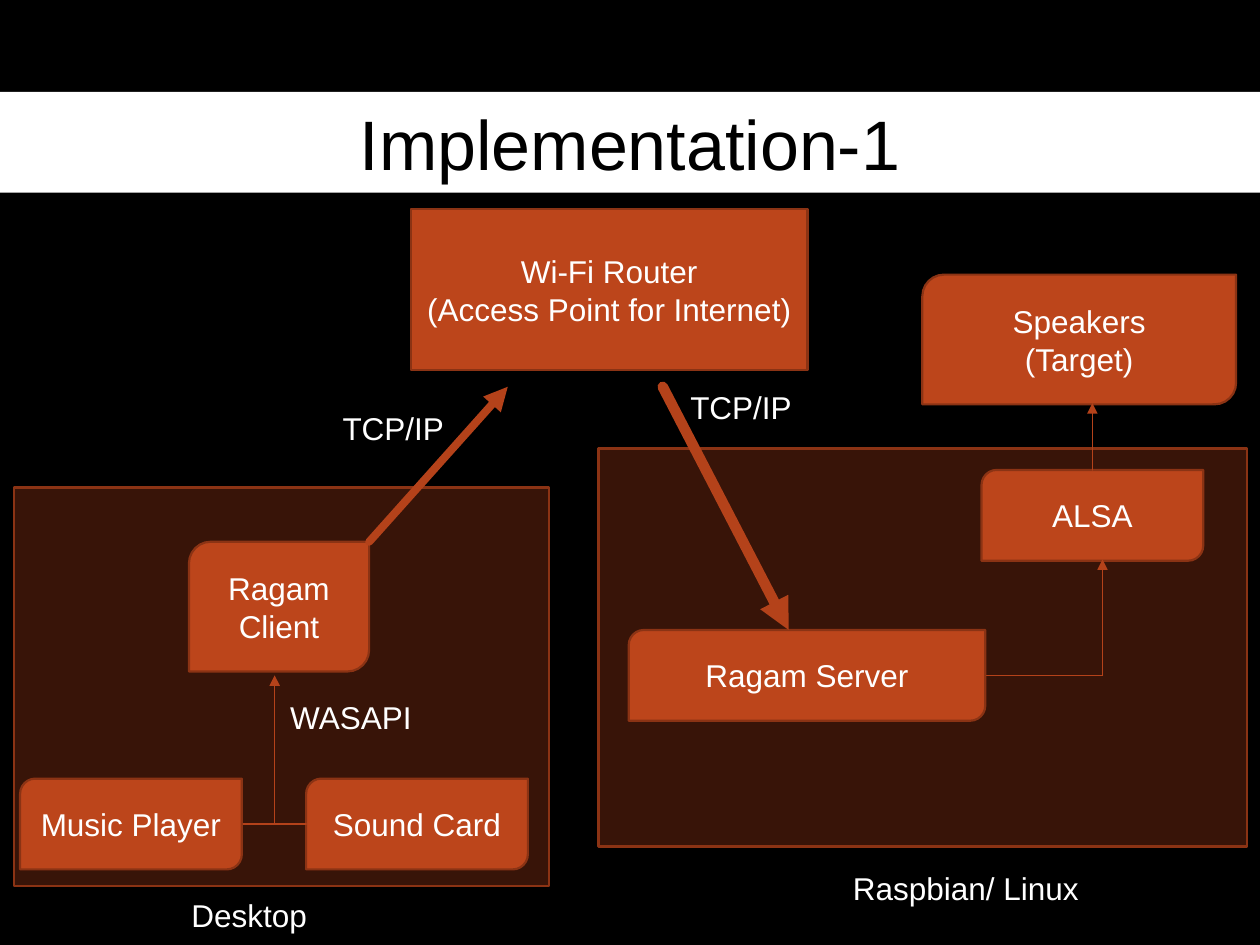
import pptx
import pptx.util
import pptx.dml.color
import pptx.enum.shapes
import pptx.enum.text
import pptx.oxml
import pptx.oxml.ns

RGBColor = pptx.dml.color.RGBColor
BLACK = RGBColor(0x00, 0x00, 0x00)
WHITE = RGBColor(0xFF, 0xFF, 0xFF)
RUST = RGBColor(0xBC, 0x45, 0x1B)
BORDER = RGBColor(0x8B, 0x33, 0x14)
ARROW = RGBColor(0xB4, 0x42, 0x1A)

RECTANGLE = pptx.enum.shapes.MSO_SHAPE.RECTANGLE
DIAGONAL = pptx.enum.shapes.MSO_SHAPE.ROUND_2_DIAG_RECTANGLE
CENTER = pptx.enum.text.PP_ALIGN.CENTER
LEFT = pptx.enum.text.PP_ALIGN.LEFT
COLUMNS, ROWS = 100, 75


def add_element(parent, tag, **attributes):
    child = pptx.oxml.parse_xml(f"<{tag} {pptx.oxml.ns.nsdecls('a')}/>")
    for name, value in attributes.items():
        child.set(name, value)
    parent.append(child)


class Diagram:
    """Style and current slide; lengths are columns and rows of a 100 x 75 grid."""

    font = "Arial"
    size = 18

    def __init__(self, deck):
        self.column = deck.slide_width / COLUMNS
        self.row = deck.slide_height / ROWS
        self.slide = deck.slides.add_slide(deck.slide_layouts[6])
        background = self.slide.background.fill
        background.solid()
        background.fore_color.rgb = BLACK

    def place(self, *lengths):
        """Turn alternating columns and rows into slide lengths."""
        units = (self.column, self.row) * 2
        return [round(length * unit) for length, unit in zip(lengths, units)]

    def set_text(self, frame, text, align, color=WHITE, size=size):
        frame.text = text
        for para in frame.paragraphs:
            para.alignment = align
            para.font.name = self.font
            para.font.size = pptx.util.Pt(size)
            para.font.color.rgb = color

    def shape(self, kind, area, fill):
        shape = self.slide.shapes.add_shape(kind, *self.place(*area))
        shape.shadow.inherit = False
        shape.fill.solid()
        shape.fill.fore_color.rgb = fill
        shape.line.color.rgb = BORDER
        shape.line.width = pptx.util.Pt(1.25)
        return shape

    def title(self, text, area):
        band = self.shape(RECTANGLE, area, WHITE)
        band.line.fill.background()
        self.set_text(band.text_frame, text, CENTER, BLACK, 40)

    def host(self, area):
        """Draw the translucent panel of one machine."""
        panel = self.shape(RECTANGLE, area, RUST)
        solid = panel._element.spPr.find(pptx.oxml.ns.qn("a:solidFill"))
        add_element(solid[0], "a:alpha", val="30000")

    def block(self, text, area, kind=DIAGONAL):
        box = self.shape(kind, area, RUST)
        box.text_frame.vertical_anchor = pptx.enum.text.MSO_ANCHOR.MIDDLE
        self.set_text(box.text_frame, text, CENTER)

    def label(self, text, left, top, width=23.2, align=LEFT):
        box = self.slide.shapes.add_textbox(*self.place(left, top, width, 4))
        box.text_frame.word_wrap = True
        self.set_text(box.text_frame, text, align)

    def link(self, start, end, width=0.75, arrow=True):
        line = self.slide.shapes.add_connector(
            pptx.enum.shapes.MSO_CONNECTOR.STRAIGHT, *self.place(*start, *end))
        line.line.color.rgb = ARROW
        line.line.width = pptx.util.Pt(width)
        outline = line._element.spPr.find(pptx.oxml.ns.qn("a:ln"))
        outline.set("cap", "rnd")
        if arrow:
            add_element(outline, "a:tailEnd", type="triangle")
        add_element(line._element.spPr, "a:effectLst")


def main():
    deck = pptx.Presentation()
    deck.slide_width = pptx.util.Inches(10)
    deck.slide_height = pptx.util.Inches(7.5)
    diagram = Diagram(deck)

    diagram.title("Implementation-1", (0, 7.3, COLUMNS, 8))
    diagram.host((1.1, 38.7, 42.5, 31.6))
    diagram.host((47.5, 35.6, 51.5, 31.6))

    diagram.block("Wi-Fi Router\n(Access Point for Internet)",
                  (32.6, 16.6, 31.5, 12.8), RECTANGLE)
    diagram.block("Ragam Client", (15, 43, 14.3, 10.3))
    diagram.block("Speakers\n(Target)", (73.2, 21.8, 24.9, 10.3))
    diagram.block("Ragam Server", (49.9, 50, 28.3, 7.2))
    for text, left, top in (("Music Player", 1.6, 61.8),
                            ("Sound Card", 24.3, 61.8),
                            ("ALSA", 77.9, 37.3)):
        diagram.block(text, (left, top, 17.6, 7.2))

    # Audio sources to client
    diagram.link((19.3, 65.4), (24.3, 65.4), arrow=False)
    diagram.link((21.8, 65.4), (21.8, 53.6))
    # Server to speakers
    diagram.link((78.3, 53.6), (87.5, 53.6), arrow=False)
    diagram.link((87.5, 53.6), (87.5, 44.4))
    diagram.link((86.7, 37.3), (86.7, 32))
    # Client to server through the router
    diagram.link((29.3, 43), (40.3, 30.7), width=4.5)
    diagram.link((52.6, 30.7), (62.6, 50), width=6)

    diagram.label("TCP/IP", 26.2, 32)
    diagram.label("TCP/IP", 53.8, 30.3)
    diagram.label("WASAPI", 21.8, 54.9, 12.1, CENTER)
    diagram.label("Desktop", 14.2, 70.6)
    diagram.label("Raspbian/ Linux", 66.7, 68.5)

    deck.save("out.pptx")


if __name__ == "__main__":
    main()
